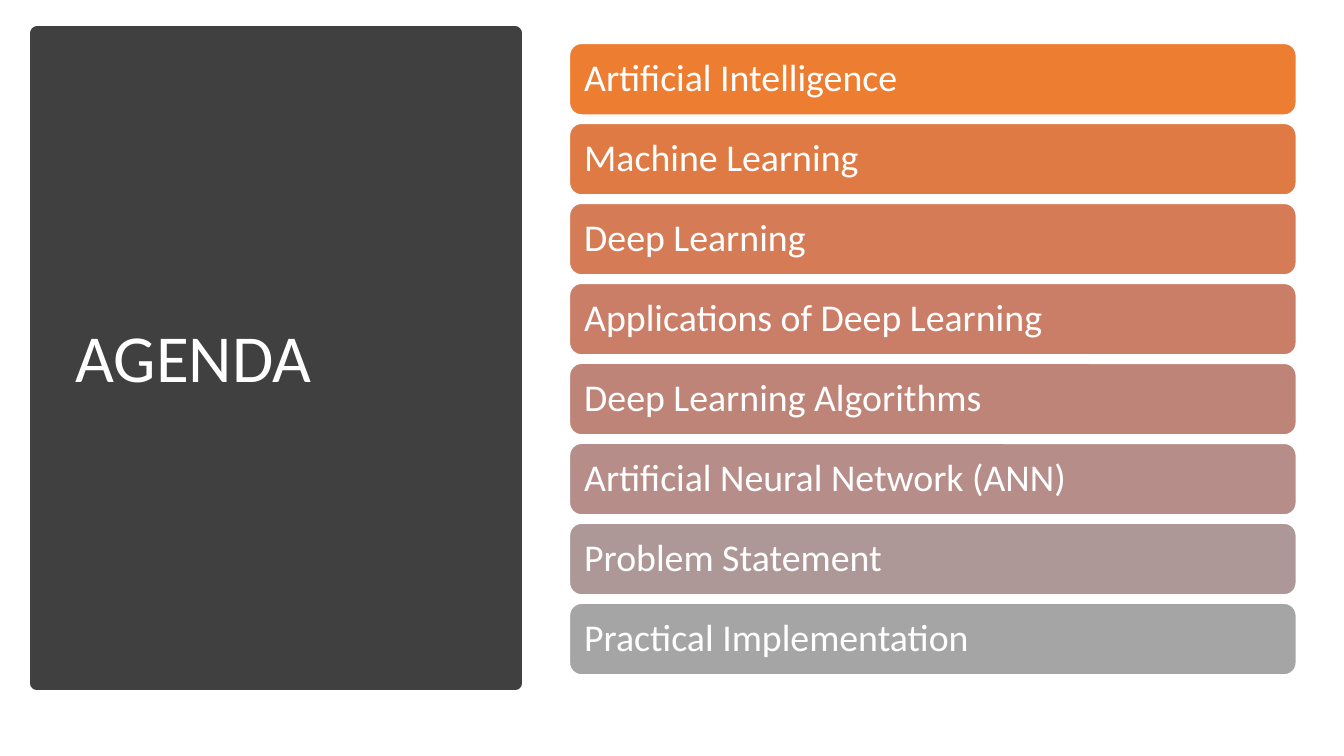
from pptx import Presentation
from pptx.dml.color import RGBColor
from pptx.enum.shapes import MSO_SHAPE
from pptx.enum.text import MSO_ANCHOR, PP_ALIGN
from pptx.util import Pt

COLORS = {
    "panel": "404040",
    "white": "FFFFFF",
    "Artificial Intelligence": "ED7D31",
    "Machine Learning": "E07A44",
    "Deep Learning": "D57B56",
    "Applications of Deep Learning": "CA7E67",
    "Deep Learning Algorithms": "BF8478",
    "Artificial Neural Network (ANN)": "B68D88",
    "Problem Statement": "AD9897",
    "Practical Implementation": "A5A5A5",
}
TOPICS = list(COLORS)[2:]
FIRST_TOP, PITCH = 31, 57.13


def add_block(kind, left, top, width, height, fill, line, line_width):
    block = slide.shapes.add_shape(kind, Pt(left), Pt(top), Pt(width), Pt(height))
    block.shadow.inherit = False
    block.fill.solid()
    block.fill.fore_color.rgb = RGBColor.from_string(COLORS[fill])
    block.line.color.rgb = RGBColor.from_string(COLORS[line])
    block.line.width = Pt(line_width)
    return block


def set_text(frame, text, size):
    frame.text = text
    frame.word_wrap = True
    frame.vertical_anchor = MSO_ANCHOR.MIDDLE
    paragraph = frame.paragraphs[0]
    paragraph.alignment = PP_ALIGN.LEFT
    paragraph.line_spacing = 0.9
    font = paragraph.runs[0].font
    font.name = "Calibri"
    font.size = Pt(size)
    font.color.rgb = RGBColor.from_string(COLORS["white"])


presentation = Presentation()
presentation.slide_width, presentation.slide_height = Pt(960), Pt(540)
slide = presentation.slides.add_slide(presentation.slide_layouts[6])

# Dark panel with the heading
add_block(MSO_SHAPE.RECTANGLE, 26.6, 23.8, 341.3, 464.4, "panel", "panel", 10)
heading = slide.shapes.add_textbox(Pt(46.8), Pt(50.4), Pt(299.5), Pt(414))
set_text(heading.text_frame, "AGENDA", 48)

# Agenda topics, one bar each
for row, topic in enumerate(TOPICS):
    bar = add_block(MSO_SHAPE.ROUNDED_RECTANGLE, 406.8, FIRST_TOP + row * PITCH,
                    519.1, 51.1, topic, "white", 1)
    frame = bar.text_frame
    frame.margin_left = frame.margin_right = Pt(8)
    frame.margin_top = frame.margin_bottom = Pt(8)
    set_text(frame, topic, 27)

presentation.save("out.pptx")
